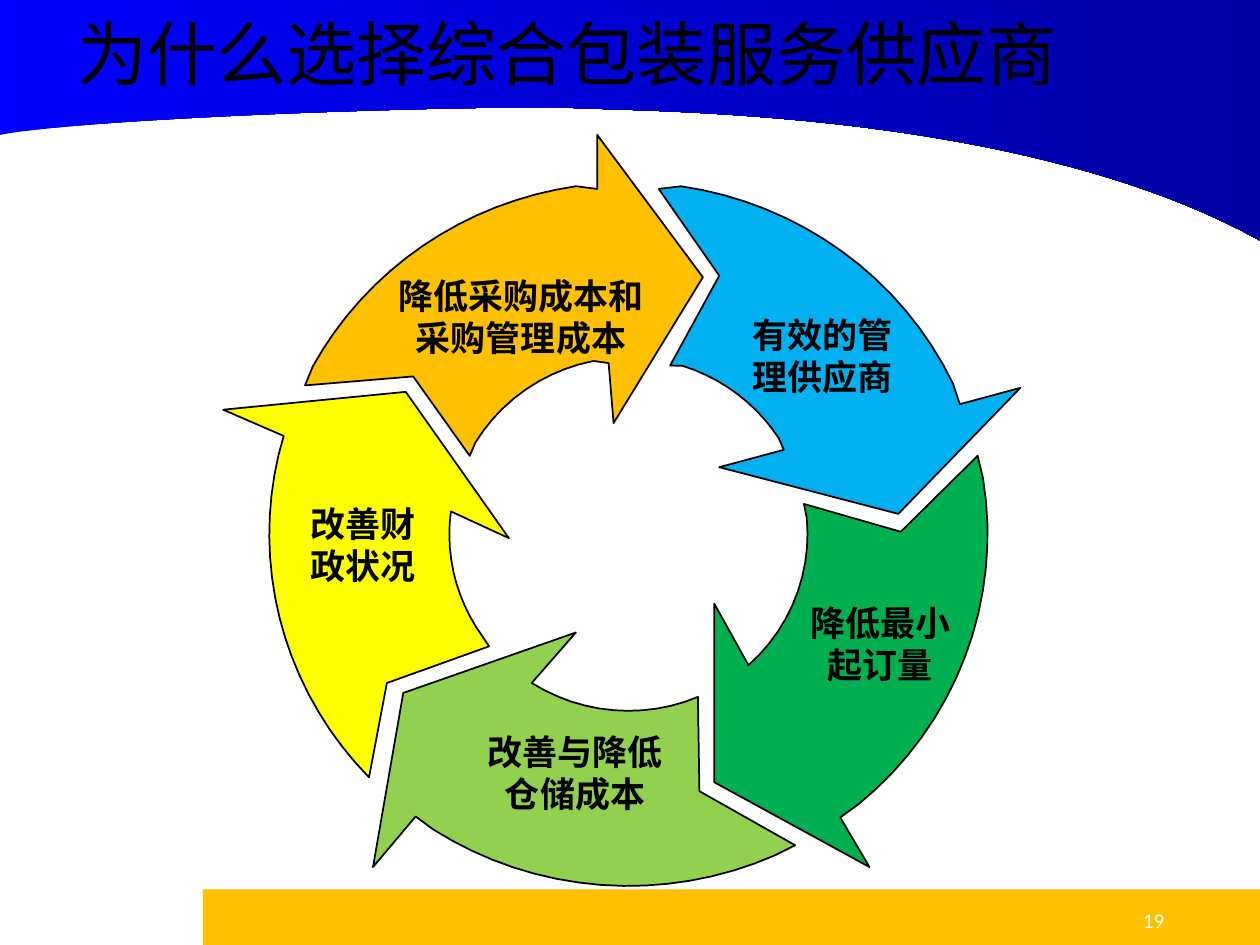
import math

from pptx import Presentation
from pptx import util as u
from pptx.dml import color
from pptx.enum import shapes, text

CENTRE = (12.67, 10.77)
INNER_RADII = (3.61, 3.56)
OUTER_RADII = (7.24, 7.09)

ARROWS = [
    ("FFC000", [(9.47, 9.19), (12.27, 7.32)],
     [(12.37, 8.53), (14.17, 5.59), (12.04, 2.72)],
     [(12.04, 3.81), (6.15, 7.77)], (8.33, 7.59)),
    ("00B0F0", [(13.51, 7.37), (15.8, 9.07)],
     [(14.5, 9.42), (18.11, 10.36), (20.57, 7.82)],
     [(19.35, 8.15), (13.28, 3.81)], (14.5, 5.56)),
    ("00B050", [(16.21, 10.16), (15.09, 13.41)],
     [(14.4, 12.17), (14.4, 15.77), (17.53, 17.48)],
     [(16.94, 16.48), (19.71, 9.19)], (18.16, 10.72)),
    ("92D050", [(14.07, 14.05), (10.72, 13.77)],
     [(11.61, 12.75), (8.13, 13.97), (7.52, 17.48)],
     [(8.38, 16.46), (16.03, 17.04)], (14.1, 15.95)),
    ("FFFF00", [(9.86, 13.03), (9.09, 10.31)],
     [(10.26, 10.85), (8.18, 7.9), (4.5, 8.26)],
     [(5.72, 8.79), (7.44, 15.67)], (7.8, 13.77)),
]

LABELS = [
    ("改善财政状况", 6.1, 10.13, 2.44),
    ("降低采购成本和采购管理成本", 7.9, 5.54, 5.21),
    ("有效的管理供应商", 14.91, 6.32, 3.33),
    ("降低最小起订量", 16.1, 12.12, 3.3),
    ("改善与降低仓储成本", 9.5, 14.73, 4.19),
]


def rgb(value):
    return color.RGBColor.from_string(value)


def arc(ends, radii, steps):
    start, end = (
        math.atan2((y - CENTRE[1]) / radii[1], (x - CENTRE[0]) / radii[0])
        for x, y in ends
    )
    sweep = math.remainder(end - start, math.tau)
    angles = [start + sweep * i / steps for i in range(1, steps)]
    middle = [
        (CENTRE[0] + radii[0] * math.cos(a), CENTRE[1] + radii[1] * math.sin(a))
        for a in angles
    ]
    return [ends[0], *middle, ends[1]]


def bezier(controls, steps=40):
    points = []
    for i in range(steps + 1):
        t = i / steps
        weights = [math.comb(3, k) * t**k * (1 - t) ** (3 - k) for k in range(4)]
        points.append(tuple(
            sum(w * c[axis] for w, c in zip(weights, controls)) for axis in (0, 1)
        ))
    return points


class Deck:
    latin = "Calibri"
    title_font = "Noto Sans CJK SC"
    ink = "000000"

    def __init__(self):
        self.file = Presentation()
        self.file.slide_width, self.file.slide_height = u.Cm(25.4), u.Cm(19.05)
        self.slide = self.file.slides.add_slide(self.file.slide_layouts[5])

    def set_words(self, paragraph, words, size, hue, name, bold=False):
        paragraph.text = words
        paragraph.font.size = u.Pt(size)
        paragraph.font.name = name
        paragraph.font.bold = bold
        paragraph.font.color.rgb = rgb(hue)

    def bar(self, left, top, width, height, hue):
        bar = self.slide.shapes.add_shape(
            shapes.MSO_SHAPE.RECTANGLE, *map(u.Cm, (left, top, width, height)))
        bar.shadow.inherit = False
        bar.fill.solid()
        bar.fill.fore_color.rgb = rgb(hue)
        bar.line.fill.background()

    def outline(self, points):
        corners = [(u.Cm(x), u.Cm(y)) for x, y in points]
        builder = self.slide.shapes.build_freeform(*corners[0])
        builder.add_line_segments(corners[1:], close=True)
        outline = builder.convert_to_shape()
        outline.shadow.inherit = False
        return outline

    def banner(self, points, hues):
        banner = self.outline(points)
        banner.line.fill.background()
        banner.fill.gradient()
        banner.fill.gradient_angle = 0
        for stop, hue in zip(banner.fill.gradient_stops, hues):
            stop.color.rgb = rgb(hue)

    def arrow(self, hue, inner, head, outer, notch):
        arrow = self.outline(
            arc(inner, INNER_RADII, 12) + head + arc(outer, OUTER_RADII, 18) + [notch])
        arrow.fill.solid()
        arrow.fill.fore_color.rgb = rgb(hue)
        arrow.line.color.rgb = rgb(self.ink)
        arrow.line.width = u.Pt(1)

    def box(self, left, top, width, height):
        box = self.slide.shapes.add_textbox(*map(u.Cm, (left, top, width, height)))
        frame = box.text_frame
        frame.word_wrap = True
        frame.vertical_anchor = text.MSO_ANCHOR.MIDDLE
        frame.paragraphs[0].alignment = text.PP_ALIGN.CENTER
        return frame

    def label(self, words, left, top, width):
        frame = self.box(left, top, width, 1.7)
        frame.margin_left = frame.margin_right = 0
        frame.margin_top = frame.margin_bottom = 0
        frame.auto_size = text.MSO_AUTO_SIZE.SHAPE_TO_FIT_TEXT
        self.set_words(frame.paragraphs[0], words, 20, self.ink, self.latin, bold=True)

    def page_number(self, words):
        frame = self.box(21.11, 18.03, 4.29, 1.02)
        self.set_words(frame.paragraphs[0], words, 12, "FFFFFF", self.latin)

    def title(self, words):
        title = self.slide.shapes.title
        title.left, title.top, title.width, title.height = map(
            u.Cm, (1.3, 0, 22.86, 2.13))
        title.text_frame.vertical_anchor = text.MSO_ANCHOR.MIDDLE
        heading = title.text_frame.paragraphs[0]
        heading.alignment = text.PP_ALIGN.LEFT
        self.set_words(heading, words, 40, self.ink, self.title_font)
        title.element.getparent().append(title.element)


def main():
    deck = Deck()
    deck.bar(4.09, 17.93, 21.31, 1.12, "FFC000")
    left_curve = bezier([(0, 2.72), (1.85, 2.36), (9.8, 2.11), (11.61, 2.18)])
    right_curve = bezier([(11.61, 2.18), (13.44, 2.26), (20.73, 2.26), (25.4, 4.85)])
    deck.banner([(0, 0), *left_curve, *right_curve[1:], (25.4, 0)],
                ("0000FF", "0000A2"))
    deck.page_number("19")
    for arrow in ARROWS:
        deck.arrow(*arrow)
    for label in LABELS:
        deck.label(*label)
    deck.title("为什么选择综合包装服务供应商")
    deck.file.save("out.pptx")


if __name__ == "__main__":
    main()
